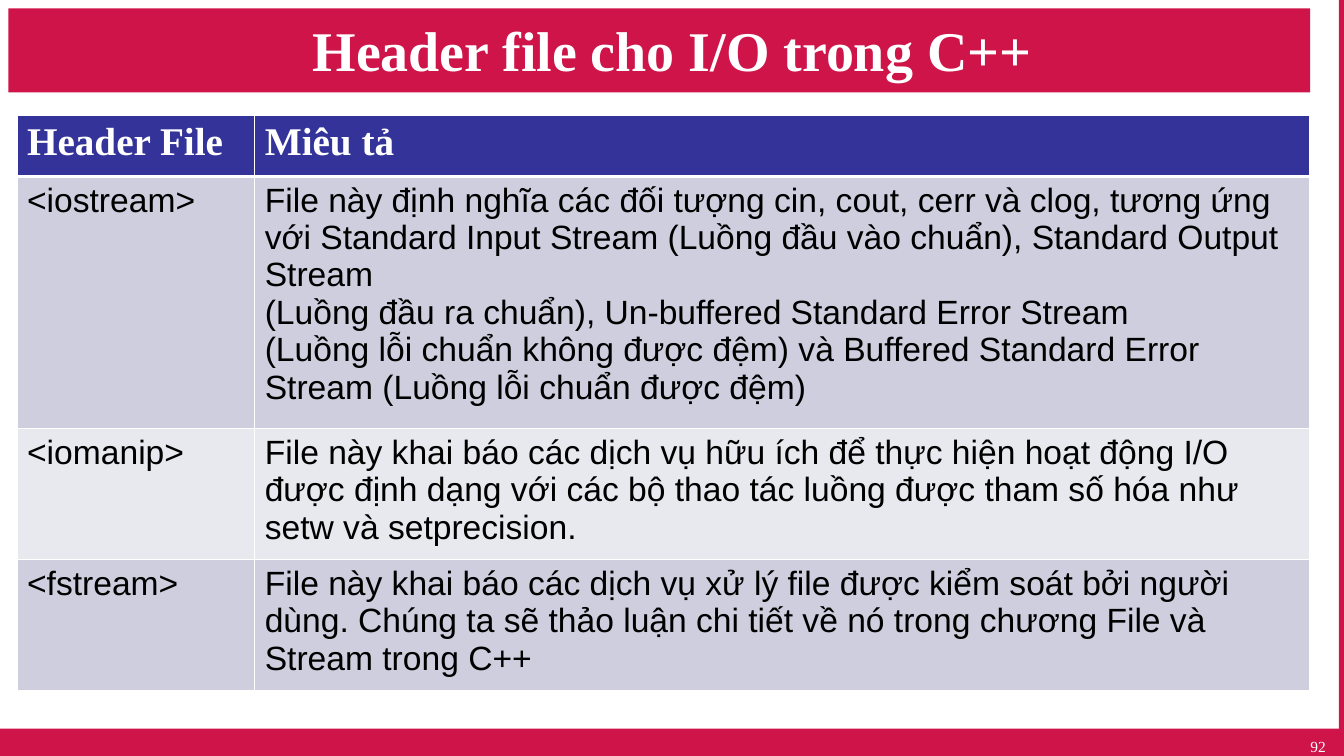
from dataclasses import dataclass
from lxml.etree import SubElement
from pptx import Presentation
from pptx.dml.color import RGBColor
from pptx.enum.shapes import MSO_SHAPE
from pptx.enum.text import MSO_ANCHOR, PP_ALIGN
from pptx.oxml.ns import qn
from pptx.util import Cm, Pt


@dataclass(frozen=True)
class Theme:
    red: str = "CE1449"
    navy: str = "333399"
    bands: tuple = ("CECEDE", "E8E8EF")
    white: str = "FFFFFF"
    black: str = "000000"
    serif: str = "Times New Roman"
    sans: str = "Arial"
    title: int = 40
    head: int = 28
    body: int = 24
    small: int = 11


LOOK = Theme()
WIDE, HIGH = 33.87, 19.05
COLS = (5.99, 26.59)
TALL = (1.55, 6.12, 2.62, 2.62)
ROWS = [
    ("Header File", ["Miêu tả"]),
    ("<iostream>", [
        "File này định nghĩa các đối tượng cin, cout, cerr và clog, tương ứng với "
        "Standard Input Stream (Luồng đầu vào chuẩn), Standard Output Stream",
        "(Luồng đầu ra chuẩn), Un-buffered Standard Error Stream",
        "(Luồng lỗi chuẩn không được đệm) và Buffered Standard Error Stream "
        "(Luồng lỗi chuẩn được đệm)"]),
    ("<iomanip>", [
        "File này khai báo các dịch vụ hữu ích để thực hiện hoạt động I/O được "
        "định dạng với các bộ thao tác luồng được tham số hóa như setw và "
        "setprecision."]),
    ("<fstream>", [
        "File này khai báo các dịch vụ xử lý file được kiểm soát bởi người dùng. "
        "Chúng ta sẽ thảo luận chi tiết về nó trong chương File và Stream trong C++"]),
]


def write(frame, lines, size, font, color, bold=False, align=PP_ALIGN.LEFT, space=None):
    frame.word_wrap = True
    for i, line in enumerate(lines):
        para = frame.paragraphs[0] if i == 0 else frame.add_paragraph()
        para.alignment = align
        para.line_spacing = space
        run = para.add_run()
        run.text = line
        run.font.size = Pt(size)
        run.font.name = font
        run.font.bold = bold
        run.font.color.rgb = RGBColor.from_string(color)


def block(slide, box):
    shape = slide.shapes.add_shape(MSO_SHAPE.RECTANGLE, *map(Cm, box))
    shape.shadow.inherit = False
    shape.fill.solid()
    shape.fill.fore_color.rgb = RGBColor.from_string(LOOK.red)
    shape.line.fill.background()


def edge(cell, base):
    # Borders come before the fill in the cell properties
    props = cell._tc.get_or_add_tcPr()
    for side, width in (("L", 1), ("R", 1), ("T", 1), ("B", base)):
        line = SubElement(props, qn(f"a:ln{side}"), w=str(Pt(width)))
        fill = SubElement(line, qn("a:solidFill"))
        SubElement(fill, qn("a:srgbClr"), val=LOOK.white)


def banner(slide, box, text):
    block(slide, box)
    x, y, w, h = box
    label = slide.shapes.add_textbox(Cm(x + 1.49), Cm(y + 0.23), Cm(w - 2.34), Cm(h - 0.54))
    label.text_frame.vertical_anchor = MSO_ANCHOR.MIDDLE
    write(label.text_frame, [text], LOOK.title, LOOK.serif, LOOK.white,
          bold=True, align=PP_ALIGN.CENTER)


def grid(slide, box):
    table = slide.shapes.add_table(len(ROWS), len(COLS), *map(Cm, box)).table
    for col, width in zip(table.columns, COLS):
        col.width = Cm(width)
    for r, (name, lines) in enumerate(ROWS):
        table.rows[r].height = Cm(TALL[r])
        top = r == 0
        for cell, text in zip(table.rows[r].cells, ([name], lines)):
            edge(cell, 3 if top else 1)
            cell.fill.solid()
            shade = LOOK.navy if top else LOOK.bands[(r - 1) % 2]
            cell.fill.fore_color.rgb = RGBColor.from_string(shade)
            if top:
                write(cell.text_frame, text, LOOK.head, LOOK.serif, LOOK.white, bold=True)
            else:
                write(cell.text_frame, text, LOOK.body, LOOK.sans, LOOK.black)


def trim(slide, box, page):
    # Bottom and right bars, with the page number at the corner
    x, y, w, h = box
    block(slide, (x, y + h - 0.69, w, 0.69))
    block(slide, (x + w - 0.13, y, 0.13, h))
    label = slide.shapes.add_textbox(Cm(x + w - 8.11), Cm(y + h - 0.84), Cm(7.9), Cm(0.64))
    write(label.text_frame, [page], LOOK.small, LOOK.serif, LOOK.white,
          align=PP_ALIGN.RIGHT, space=1.5)


def main():
    deck = Presentation()
    deck.slide_width, deck.slide_height = Cm(WIDE), Cm(HIGH)
    slide = deck.slides.add_slide(deck.slide_layouts[6])
    banner(slide, (0.21, 0.21, 32.81, 2.12), "Header file cho I/O trong C++")
    grid(slide, (0.43, 2.9, sum(COLS), sum(TALL)))
    trim(slide, (0, 0, WIDE, HIGH), "92")
    deck.save("out.pptx")


if __name__ == "__main__":
    main()
